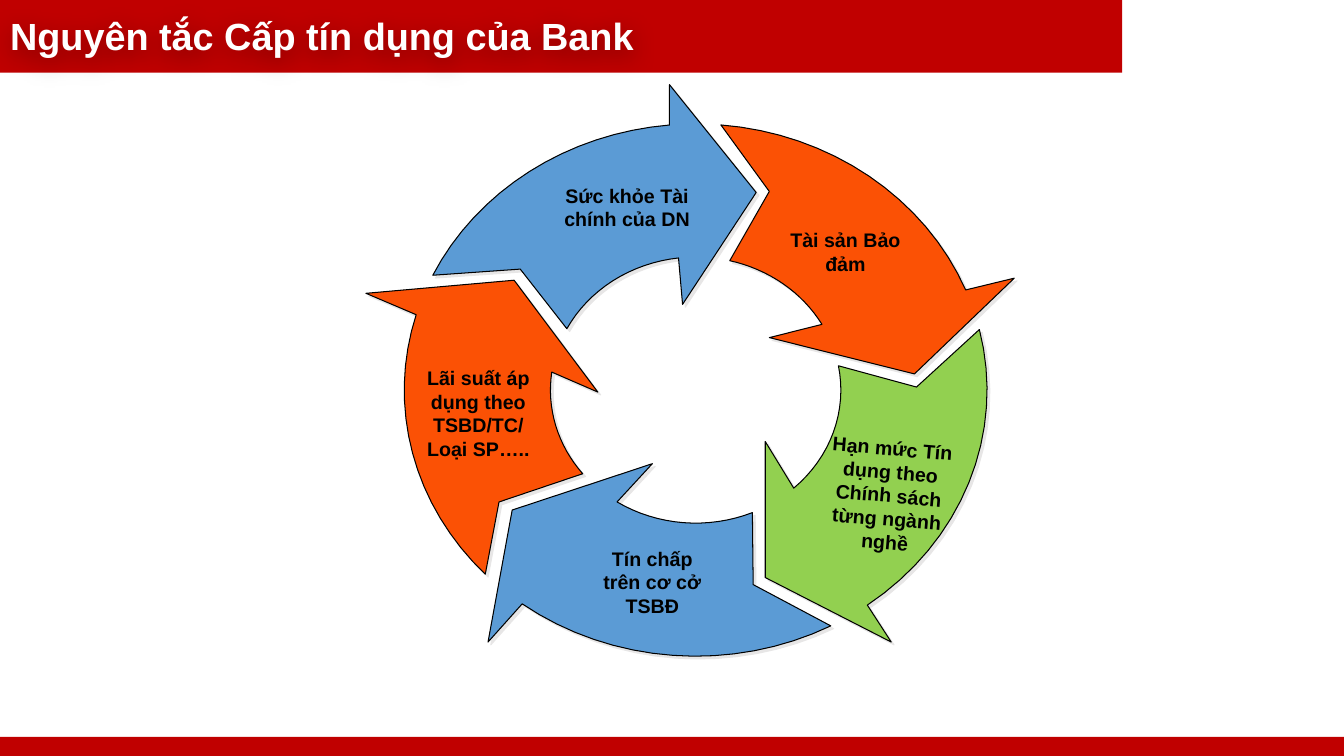
import math

from lxml import etree
from pptx import Presentation
from pptx import util as u
from pptx.dml.color import RGBColor
from pptx.enum import shapes, text
from pptx.oxml.ns import qn

WIDTH, HEIGHT = 13.33, 7.5
FONT = "Arial"
COLORS = {"red": "C00000", "blue": "5B9BD5", "orange": "FB5105", "green": "92D050",
          "black": "000000", "white": "FFFFFF", "shade": "E7E6E6"}

RING_BOX = (4, 1, 5.79, 5.5)
RING_CENTRE = (2.9, 2.87)
INNER, OUTER = (1.44, 1.32), (2.89, 2.64)
ARC_STEPS = 16

# Each arrow: colour, inner arc ends, head (barb, tip, barb), outer arc ends, tail notch.
ARROWS = [
    ("blue", [(1.62, 2.26), (2.73, 1.56)], [(2.77, 2.02), (3.5, 0.91), (2.64, -0.16)],
     [(2.64, 0.24), (0.29, 1.73)], (1.16, 1.67)),
    ("orange", [(3.24, 1.58), (4.15, 2.22)], [(3.63, 2.35), (5.07, 2.71), (6.06, 1.76)],
     [(5.57, 1.88), (3.15, 0.24)], (3.63, 0.9)),
    ("green", [(4.31, 2.63), (3.87, 3.84)], [(3.59, 3.38), (3.59, 4.73), (4.84, 5.37)],
     [(4.6, 5), (5.71, 2.27)], (5.09, 2.84)),
    ("blue", [(3.46, 4.08), (2.12, 3.98)], [(2.47, 3.6), (1.08, 4.06), (0.84, 5.37)],
     [(1.18, 4.99), (4.24, 5.21)], (3.47, 4.8)),
    ("orange", [(1.78, 3.7), (1.46, 2.69)], [(1.93, 2.89), (1.1, 1.78), (-0.37, 1.91)],
     [(0.12, 2.12), (0.81, 4.7)], (0.95, 3.98)),
]

LABELS = [
    (["Lãi suất áp dụng theo TSBD/TC/", "Loại SP….."], (0.15, 2.63, 1.19, 0.94), 0),
    (["Sức khỏe Tài chính của DN"], (1.47, 0.82, 1.5, 0.47), 0),
    (["Tài sản Bảo đảm"], (3.79, 1.26, 1.19, 0.47), 0),
    (["Hạn mức Tín dụng theo Chính sách từng ngành nghề"], (4.15, 3.32, 1.33, 1.18), 4.8),
    (["Tín chấp trên cơ cở TSBĐ"], (1.87, 4.42, 1.2, 0.71), 0),
]


def color(name):
    """Return the named palette colour."""
    return RGBColor.from_string(COLORS[name])


def add_shadow(shape, name, blur, distance, angle, alpha):
    """Give a shape an outer shadow; lengths in points, alpha in percent."""
    shape.shadow.inherit = False
    effects = shape._element.spPr.find(qn("a:effectLst"))
    shadow = etree.SubElement(effects, qn("a:outerShdw"), blurRad=str(u.Pt(blur)),
                              dist=str(u.Pt(distance)), dir=str(angle * 60000),
                              algn="ctr", rotWithShape="0")
    shade = etree.SubElement(shadow, qn("a:srgbClr"), val=COLORS[name])
    etree.SubElement(shade, qn("a:alpha"), val=str(alpha * 1000))


def add_span(para, words, size, name):
    """Add one bold run to a paragraph."""
    span = para.add_run()
    span.text = words
    span.font.name, span.font.size, span.font.bold = FONT, u.Pt(size), True
    span.font.color.rgb = color(name)


def add_bar(page, box):
    """Draw a plain red bar."""
    bar = page.shapes.add_shape(shapes.MSO_SHAPE.RECTANGLE, *map(u.Inches, box))
    bar.shadow.inherit = False
    bar.fill.solid()
    bar.fill.fore_color.rgb = color("red")
    bar.line.fill.background()


def add_header(page, box):
    """Draw the header bar and set the title over it."""
    left, top, width, height = box
    add_bar(page, box)
    title = page.shapes.title
    page.shapes._spTree.append(title._element)
    title.left, title.top = u.Inches(left - 0.12), u.Inches(top)
    title.width, title.height = u.Inches(width - 0.19), u.Inches(height + 0.04)
    add_shadow(title, "black", 18, 4, 90, 35)
    frame = title.text_frame
    frame.word_wrap = True
    frame.vertical_anchor = text.MSO_ANCHOR.MIDDLE
    para = frame.paragraphs[0]
    para.alignment, para.line_spacing = text.PP_ALIGN.LEFT, 0.9
    props = para._p.get_or_add_pPr()
    props.set("marL", str(u.Inches(0.12)))
    props.set("indent", "0")
    add_span(para, "Nguyên tắc Cấp tín dụng của Bank", 27, "white")


def arc(radii, ends):
    """Return points along the ring's ellipse, the short way between two ends."""
    (cx, cy), (rx, ry) = RING_CENTRE, radii
    start, end = (math.atan2((y - cy) / ry, (x - cx) / rx) for x, y in ends)
    sweep = (end - start + math.pi) % math.tau - math.pi
    angles = [start + sweep * step / ARC_STEPS for step in range(ARC_STEPS + 1)]
    return [(cx + rx * math.cos(a), cy + ry * math.sin(a)) for a in angles]


def add_arrow(page, box, name, inner, head, outer, notch):
    """Draw one curved arrow of the ring."""
    outline = arc(INNER, inner) + head + arc(OUTER, outer) + [notch]
    points = [(u.Inches(box[0] + x), u.Inches(box[1] + y)) for x, y in outline]
    builder = page.shapes.build_freeform(*points[0])
    builder.add_line_segments(points[1:], close=True)
    arrow = builder.convert_to_shape()
    arrow.fill.solid()
    arrow.fill.fore_color.rgb = color(name)
    arrow.line.color.rgb = color("black")
    arrow.line.width = u.Pt(0.75)
    add_shadow(arrow, "shade", 0, 2.8, 45, 100)


def add_label(page, box, lines, place, turn):
    """Write a centred label inside the ring box."""
    x, y, width, height = place
    label = page.shapes.add_textbox(*map(u.Inches, (box[0] + x, box[1] + y, width, height)))
    label.rotation = turn
    frame = label.text_frame
    frame.word_wrap = True
    frame.vertical_anchor = text.MSO_ANCHOR.MIDDLE
    frame.margin_left = frame.margin_right = frame.margin_top = frame.margin_bottom = 0
    for index, line in enumerate(lines):
        para = frame.add_paragraph() if index else frame.paragraphs[0]
        para.alignment = text.PP_ALIGN.CENTER
        add_span(para, line, 14, "black")


def add_ring(page, box):
    """Draw the ring of arrows and its labels."""
    for arrow in ARROWS:
        add_arrow(page, box, *arrow)
    for label in LABELS:
        add_label(page, box, *label)


def main():
    """Build and save the deck."""
    deck = Presentation()
    deck.slide_width, deck.slide_height = u.Inches(WIDTH), u.Inches(HEIGHT)
    page = deck.slides.add_slide(deck.slide_layouts[5])
    add_bar(page, (0, HEIGHT - 0.19, WIDTH, 0.19))
    add_ring(page, RING_BOX)
    add_header(page, (0, 0, 11.13, 0.72))
    deck.save("out.pptx")


if __name__ == "__main__":
    main()
